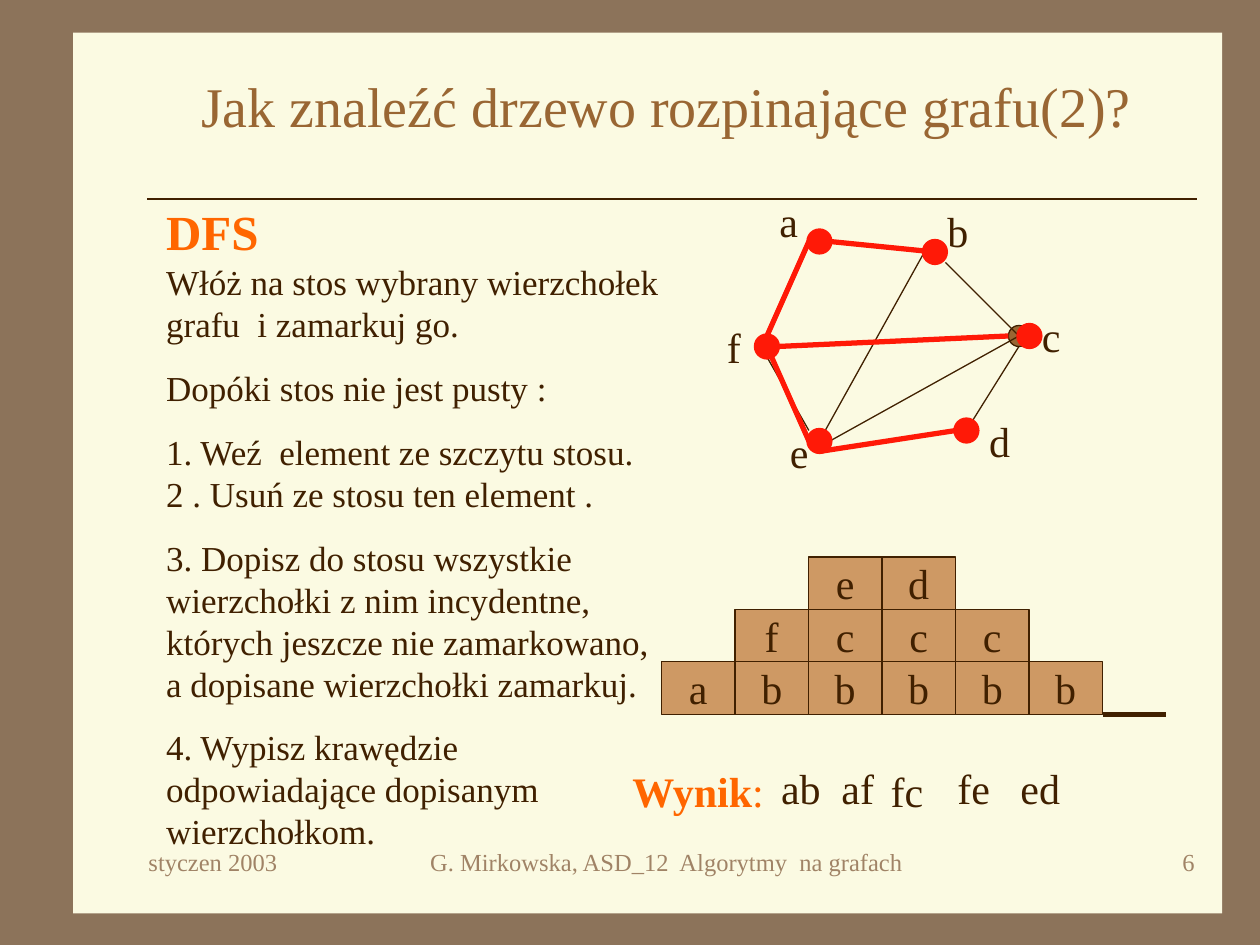
from dataclasses import dataclass

from lxml import etree
from pptx import Presentation
from pptx.dml.color import RGBColor
from pptx.enum.shapes import MSO_CONNECTOR, MSO_SHAPE
from pptx.enum.text import MSO_ANCHOR, PP_ALIGN
from pptx.oxml.ns import qn
from pptx.util import Inches, Pt

RECT, OVAL = MSO_SHAPE.RECTANGLE, MSO_SHAPE.OVAL
LINE = MSO_CONNECTOR.STRAIGHT
LEFT, MID, RIGHT = PP_ALIGN.LEFT, PP_ALIGN.CENTER, PP_ALIGN.RIGHT
TOP, CENTRE = MSO_ANCHOR.TOP, MSO_ANCHOR.MIDDLE


@dataclass(frozen=True)
class Theme:
    font: str = "Times New Roman"
    back: str = "8C735A"
    page: str = "FBFAE2"
    ink: str = "402000"
    brown: str = "996633"
    accent: str = "FF6600"
    red: str = "FF1907"
    cell: str = "CE9964"
    muted: str = "A08366"
    title: int = 32
    head: int = 28
    label: int = 24
    body: int = 20
    foot: int = 14
    thin: float = 0.75
    thick: float = 3


T = Theme()
GRID = 1 / 12  # inches in one grid step


def rgb(code):
    return RGBColor.from_string(code)


def add_run(para, text, size, color=T.ink, bold=False):
    run = para.add_run()
    run.text = text
    font = run.font
    font.name, font.size, font.bold = T.font, Pt(size), bold
    font.color.rgb = rgb(color)


def add_text(slide, box, runs, align=LEFT, anchor=TOP):
    """Place one paragraph of (text, size, color, bold) runs."""
    shape = slide.shapes.add_textbox(*map(Inches, box))
    frame = shape.text_frame
    frame.word_wrap, frame.vertical_anchor = True, anchor
    para = frame.paragraphs[0]
    para.alignment = align
    for run in runs:
        add_run(para, *run)
    return frame


def add_shape(slide, kind, box, fill, line, width):
    shape = slide.shapes.add_shape(kind, *map(Inches, box))
    shape.shadow.inherit = False
    shape.fill.solid()
    shape.fill.fore_color.rgb = rgb(fill)
    if line:
        shape.line.color.rgb = rgb(line)
        shape.line.width = Pt(width)
    else:
        shape.line.fill.background()
    return shape


def add_line(slide, start, end, color, width):
    line = slide.shapes.add_connector(LINE, *map(Inches, (*start, *end)))
    line.line.color.rgb = rgb(color)
    line.line.width = Pt(width)
    etree.SubElement(line._element.spPr, qn("a:effectLst"))


def draw_page(slide, box):
    slide.background.fill.solid()
    slide.background.fill.fore_color.rgb = rgb(T.back)
    add_shape(slide, RECT, box, T.page, None, 0)


def draw_title(slide, box):
    left, top, width, _ = box
    add_text(slide, box, [("Jak znaleźć drzewo rozpinające grafu(2)?", T.title, T.brown)],
             MID, CENTRE)
    rule = top + 1.08
    add_line(slide, (left + 0.09, rule), (left + width, rule), T.ink, T.thin)


def draw_steps(slide, box):
    frame = add_text(slide, box, [("DFS", T.head, T.accent, True)])
    first = frame.paragraphs[0]
    first.add_line_break()
    add_run(first, "Włóż na stos wybrany wierzchołek grafu  i zamarkuj go.", T.body)
    steps = [
        ["Dopóki stos nie jest pusty :"],
        ["1. Weź  element ze szczytu stosu.", "2 . Usuń ze stosu ten element ."],
        ["3. Dopisz do stosu wszystkie wierzchołki z nim incydentne, "
         "których jeszcze nie zamarkowano, a dopisane wierzchołki zamarkuj."],
        ["4. Wypisz krawędzie odpowiadające dopisanym wierzchołkom."],
    ]
    for lines in steps:
        para = frame.add_paragraph()
        para.space_before = Pt(12.5)
        for i, text in enumerate(lines):
            if i:
                para.add_line_break()
            add_run(para, text, T.body)


def draw_graph(slide, box):
    left, top = box[:2]

    def at(x, y):
        return left + x * GRID, top + y * GRID

    def dot(spot, fill, line, width):
        add_shape(slide, OVAL, (*at(*spot), 2 * GRID, 2 * GRID), fill, line, width)

    # Node name: corner of its dot, corner of its label
    nodes = {
        "a": ((9, 4), (5, 0)), "b": ((20, 5), (21, 1)), "c": ((29, 13), (30, 11)),
        "d": ((23, 22), (25, 21)), "e": ((9, 23), (6, 22)), "f": ((4, 14), (0, 12)),
    }
    edges = [  # all edges of the graph
        ((5, 14), (9, 5)), ((11, 5), (20, 6)), ((6, 15), (28, 14)),
        ((20, 6), (10, 24)), ((11, 24), (29, 14)), ((24, 23), (29, 15)),
        ((10, 25), (23, 23)), ((5, 16), (9, 23)), ((22, 7), (29, 14)),
    ]
    tree = [  # edges of the spanning tree
        ((11, 5), (21, 6)), ((9, 5), (5, 14)), ((6, 15), (28, 14)),
        ((5, 15), (9, 24)), ((10, 25), (23, 23)),
    ]
    dot((28, 13), T.brown, T.ink, T.thin)
    for start, end in edges:
        add_line(slide, at(*start), at(*end), T.ink, T.thin)
    for name, (spot, tag) in nodes.items():
        add_text(slide, (*at(*tag), 5 * GRID, 6 * GRID), [(name, T.label)])
        dot(spot, T.red, T.red, T.thick)
    for start, end in tree:
        add_line(slide, at(*start), at(*end), T.red, T.thick)


def draw_stacks(slide, box):
    left, top, width, height = box
    base = top + height
    wide, high = 7 * GRID, 5 * GRID
    stacks = ["a", "bf", "bce", "bcd", "bc", "b"]  # bottom to top
    for col, stack in enumerate(stacks):
        for row, name in enumerate(stack, 1):
            cell = add_shape(slide, RECT, (left + col * wide, base - row * high, wide, high),
                             T.cell, T.ink, T.thin)
            frame = cell.text_frame
            frame.word_wrap, frame.vertical_anchor = False, CENTRE
            para = frame.paragraphs[0]
            para.alignment = MID
            add_run(para, name, T.label)
    # The empty stack at the end
    add_line(slide, (left + len(stacks) * wide, base), (left + width, base), T.ink, T.thick)


def draw_result(slide, box):
    left, top, _, height = box
    add_text(slide, (left, top + 0.03, 1.58, height),
             [("Wynik", T.label, T.accent, True), (":", T.label, T.accent)])
    found = [("ab", 1.18, 0), ("af", 1.66, 0), ("fc", 2.05, 0.03),
             ("fe", 2.58, 0), ("ed", 3.08, 0)]
    for name, x, y in found:
        add_text(slide, (left + x, top + y, 0.58, height), [(name, T.label)])


def draw_foot(slide, box):
    left, top, width, height = box
    side = 2.08
    parts = [
        ("styczen 2003", left, side, LEFT),
        ("G. Mirkowska, ASD_12  Algorytmy  na grafach", left + 2, width - 2 - side, MID),
        ("6", left + width - side, side, RIGHT),
    ]
    for text, x, wide, align in parts:
        add_text(slide, (x, top, wide, height), [(text, T.foot, T.muted)], align)


def main():
    deck = Presentation()
    deck.slide_width, deck.slide_height = Inches(10), Inches(7.5)
    slide = deck.slides.add_slide(deck.slide_layouts[6])
    draw_page(slide, (0.58, 0.26, 9.12, 6.99))
    draw_title(slide, (1.08, 0.5, 8.42, 0.67))
    draw_steps(slide, (1.22, 1.55, 4.14, 5.6))
    draw_graph(slide, (5.67, 1.5, 2.92, 2.33))
    draw_stacks(slide, (5.25, 4.42, 4, 1.25))
    draw_result(slide, (4.92, 6, 3.66, 0.5))
    draw_foot(slide, (1.08, 6.67, 8.5, 0.5))
    deck.save("out.pptx")


if __name__ == "__main__":
    main()
